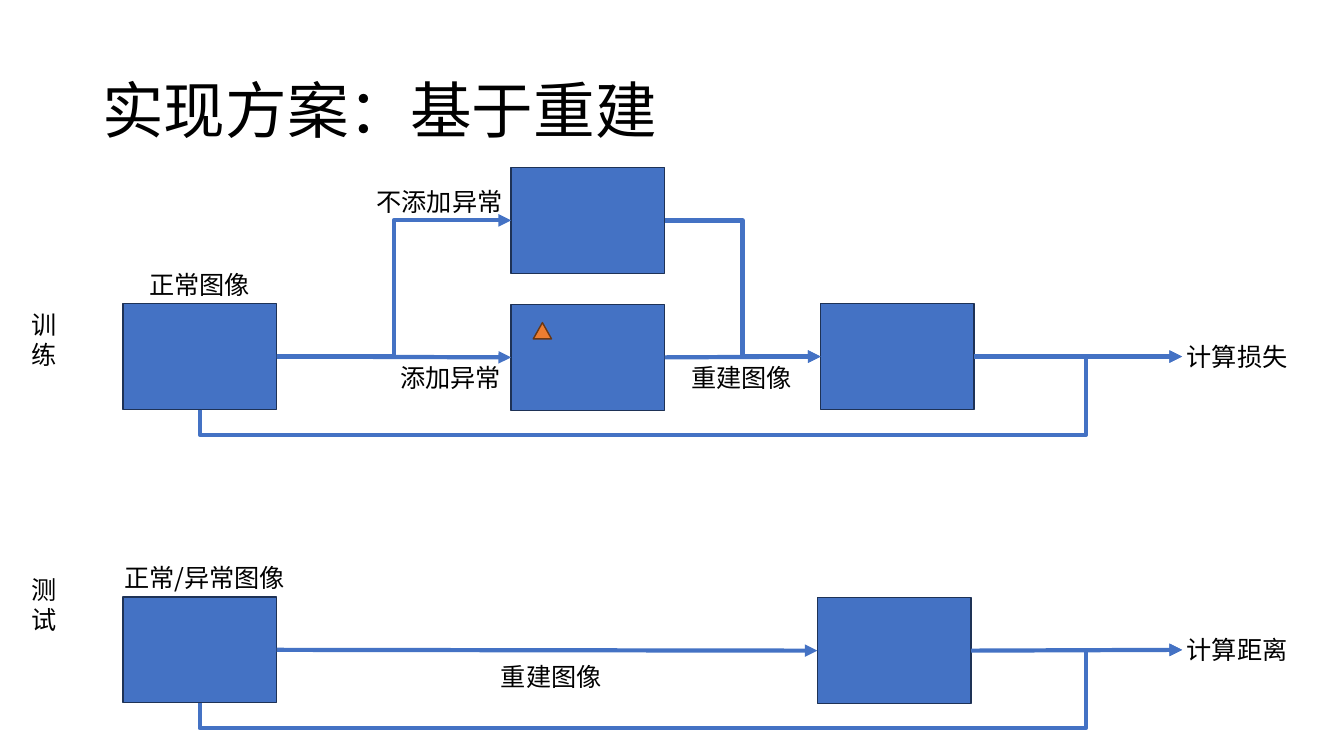
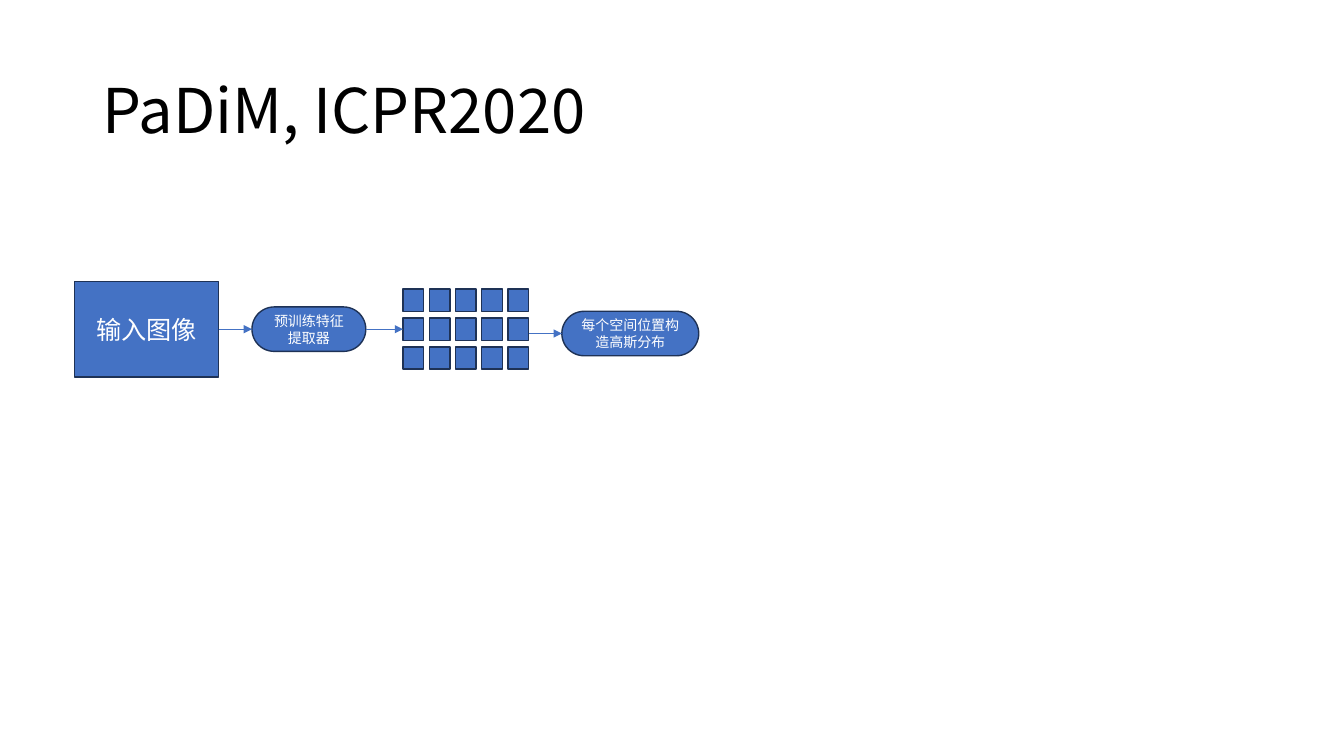
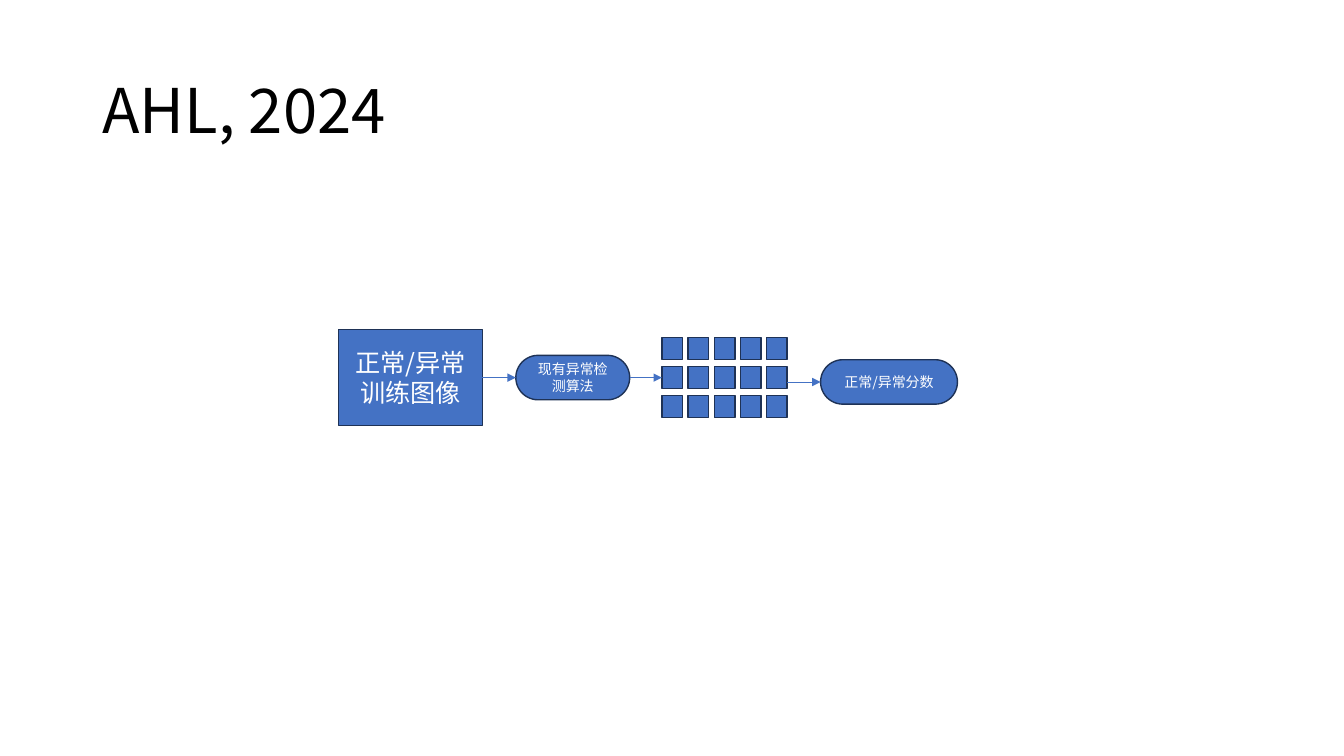
import lxml.etree
import pptx
import pptx.dml.color
import pptx.enum.shapes
import pptx.enum.text
import pptx.oxml.ns
import pptx.util

Cm = pptx.util.Cm
qn = pptx.oxml.ns.qn
SHAPE = pptx.enum.shapes.MSO_SHAPE
LINK = pptx.enum.shapes.MSO_CONNECTOR
ANCHOR = pptx.enum.text.MSO_ANCHOR
ALIGN = pptx.enum.text.PP_ALIGN

FONT = "Noto Sans CJK SC"
COLORS = {"blue": "4472C4", "blue_edge": "1E3256", "orange": "ED7D31",
          "orange_edge": "683715", "text": "000000", "light": "FFFFFF"}
TOP, LEFT, BOTTOM, RIGHT = range(4)
IMAGE_W, IMAGE_H = 3.87, 2.67
LABEL_H = 1.02


def rgb(name):
    """Return the named colour."""
    return pptx.dml.color.RGBColor.from_string(COLORS[name])


def write(frame, text, size, color, align, anchor):
    """Put one run of text in a frame."""
    frame.word_wrap = True
    frame.vertical_anchor = anchor
    paragraph = frame.paragraphs[0]
    paragraph.alignment = align
    run = paragraph.add_run()
    run.text = text
    run.font.size = pptx.util.Pt(size)
    run.font.name = FONT
    run.font.color.rgb = rgb(color)
    east_asian = lxml.etree.SubElement(run.font._element, qn("a:ea"))
    east_asian.set("typeface", FONT)
    return paragraph


def add_title(slide, text):
    """Write the slide title."""
    box = slide.shapes.add_textbox(Cm(2.33), Cm(1.01), Cm(29.21), Cm(3.68))
    paragraph = write(box.text_frame, text, 44, "text", ALIGN.LEFT, ANCHOR.MIDDLE)
    paragraph.line_spacing = 0.9


def add_label(slide, text, left, top, width=IMAGE_W, height=LABEL_H):
    """Write a centred label."""
    box = slide.shapes.add_textbox(Cm(left), Cm(top), Cm(width), Cm(height))
    write(box.text_frame, text, 18, "text", ALIGN.CENTER, ANCHOR.TOP)


def add_block(shapes, kind, left, top, width, height, color="blue", text="", size=18):
    """Draw an outlined shape, with text if given."""
    block = shapes.add_shape(kind, Cm(left), Cm(top), Cm(width), Cm(height))
    block.shadow.inherit = False
    block.fill.solid()
    block.fill.fore_color.rgb = rgb(color)
    block.line.color.rgb = rgb(color + "_edge")
    block.line.width = pptx.util.Pt(1)
    if kind == SHAPE.ROUNDED_RECTANGLE:
        block.adjustments[0] = 0.5
    if text:
        write(block.text_frame, text, size, "light", ALIGN.CENTER, ANCHOR.MIDDLE)
    return block


def add_image(slide, left, top):
    """Draw the block that stands for an image."""
    return add_block(slide.shapes, SHAPE.RECTANGLE, left, top, IMAGE_W, IMAGE_H)


def add_arrow(slide, start, end, weight, kind=LINK.STRAIGHT):
    """Draw an arrow between ends given as (shape, side) or as a point in cm."""
    arrow = slide.shapes.add_connector(kind, 0, 0, 0, 0)
    if isinstance(start[0], (int, float)):
        arrow.begin_x, arrow.begin_y = Cm(start[0]), Cm(start[1])
    else:
        arrow.begin_connect(*start)
    if isinstance(end[0], (int, float)):
        arrow.end_x, arrow.end_y = Cm(end[0]), Cm(end[1])
    else:
        arrow.end_connect(*end)
    arrow.line.color.rgb = rgb("blue")
    arrow.line.width = pptx.util.Pt(weight)
    properties = arrow._element.spPr
    head = lxml.etree.SubElement(properties.find(qn("a:ln")), qn("a:tailEnd"))
    head.set("type", "triangle")
    lxml.etree.SubElement(properties, qn("a:effectLst"))
    return arrow


def add_bypass(slide, source, end, drop, turn):
    """Draw an arrow that leaves the source below and rises at the turn to the end."""
    arrow = add_arrow(slide, (source, BOTTOM), end, 3, LINK.ELBOW)
    start_x, start_y = source.left + source.width // 2, source.top + source.height
    run, rise = Cm(end[0]) - start_x, start_y - Cm(end[1])
    arrow.left, arrow.top = start_x + (run - rise) // 2, start_y - (run + rise) // 2
    arrow.width, arrow.height = rise, run
    properties = arrow._element.spPr
    frame = properties.find(qn("a:xfrm"))
    frame.attrib.pop("flipV", None)
    frame.set("rot", str(270 * 60000))
    geometry = properties.find(qn("a:prstGeom"))
    geometry.set("prst", "bentConnector4")
    bends = (-Cm(drop) / rise, (Cm(turn) - start_x) / run)
    for number, bend in enumerate(bends, 1):
        guide = lxml.etree.SubElement(geometry.find(qn("a:avLst")), qn("a:gd"))
        guide.set("name", f"adj{number}")
        guide.set("fmla", f"val {round(bend * 100000)}")


def add_stage(slide, top, rebuilt_at, stage, stage_top, caption, caption_at, caption_w, result):
    """Draw the parts that training and testing share; return input and rebuilt image."""
    left, result_x = 3.1, 29.79
    middle = top + IMAGE_H / 2
    source = add_image(slide, left, top)
    rebuilt = add_image(slide, *rebuilt_at)
    add_label(slide, stage, 0.41, stage_top, 1.4, 1.8)
    add_label(slide, caption, caption_at, top - 1, caption_w)
    add_label(slide, result, 29.24, middle - LABEL_H / 2)
    add_bypass(slide, source, (result_x, middle), 0.64, 27.36)
    add_arrow(slide, (rebuilt, RIGHT), (result_x, middle), 3)
    return source, rebuilt


def add_training(slide, top):
    """Draw the training stage with its two branches."""
    source, rebuilt = add_stage(slide, top, (20.68, top), "训练", top + 0.02,
                                "正常图像", 3.1, IMAGE_W, "计算损失")
    branch_x = 12.88
    plain = add_image(slide, branch_x, top - 3.43)
    altered = add_image(slide, branch_x, top + 0.02)
    add_block(slide.shapes, SHAPE.ISOSCELES_TRIANGLE, branch_x + 0.56, top + 0.48,
              0.46, 0.41, "orange")
    for branch, kind in ((plain, LINK.ELBOW), (altered, LINK.STRAIGHT)):
        add_arrow(slide, (source, RIGHT), (branch, LEFT), 3, kind)
        add_arrow(slide, (branch, RIGHT), (rebuilt, LEFT), 3, kind)
    add_label(slide, "不添加异常", 8.84, top - 3.08, 4.47)
    add_label(slide, "添加异常", 9.42, top + 1.35)
    add_label(slide, "重建图像", 16.76, top + 1.35)


def add_testing(slide, top):
    """Draw the testing stage."""
    source, rebuilt = add_stage(slide, top, (20.6, top + 0.02), "测试", top - 0.69,
                                "正常/异常图像", 2.64, 5.03, "计算距离")
    add_arrow(slide, (source, RIGHT), (rebuilt, LEFT), 3)
    add_label(slide, "重建图像", 11.96, top + 1.5)


def add_feature_grid(slide, left, middle, columns=5, rows=3):
    """Draw the grouped feature cells; return the middle left cell and the right edge."""
    cell_w, cell_h, step_x, step_y = 0.52, 0.56, 0.66, 0.73
    top = middle - ((rows - 1) * step_y + cell_h) / 2
    grid = slide.shapes.add_group_shape()
    cells = [[add_block(grid.shapes, SHAPE.RECTANGLE, left + column * step_x,
                        top + row * step_y, cell_w, cell_h)
              for column in range(columns)] for row in range(rows)]
    return cells[rows // 2][0], left + (columns - 1) * step_x + cell_w


def add_pipeline(slide, left, top, grid_gap, source_text, extractor_text, output_text):
    """Draw input, extractor, feature grid and output from left to right."""
    source_w, source_h, pill_w, pill_h, output_w, gap = 3.63, 2.41, 2.87, 1.12, 3.45, 0.84
    middle = top + source_h / 2
    source = add_block(slide.shapes, SHAPE.RECTANGLE, left, top, source_w, source_h,
                       text=source_text)
    extractor_x = left + source_w + gap
    extractor = add_block(slide.shapes, SHAPE.ROUNDED_RECTANGLE, extractor_x,
                          middle - pill_h / 2, pill_w, pill_h, text=extractor_text, size=10)
    first_cell, grid_right = add_feature_grid(slide, extractor_x + pill_w + grid_gap, middle)
    output_middle = middle + 0.11
    output = add_block(slide.shapes, SHAPE.ROUNDED_RECTANGLE, grid_right + gap,
                       output_middle - pill_h / 2, output_w, pill_h,
                       text=output_text, size=10)
    add_arrow(slide, (source, RIGHT), (extractor, LEFT), 0.5, LINK.ELBOW)
    add_arrow(slide, (extractor, RIGHT), (first_cell, LEFT), 0.5)
    add_arrow(slide, (grid_right, output_middle), (output, LEFT), 0.5, LINK.ELBOW)


def main():
    """Build and save the three slides."""
    deck = pptx.Presentation()
    deck.slide_width, deck.slide_height = Cm(33.87), Cm(19.05)
    slides = []
    for title in ("实现方案：基于重建", "PaDiM, ICPR2020", "AHL, 2024"):
        slide = deck.slides.add_slide(deck.slide_layouts[6])
        add_title(slide, title)
        slides.append(slide)
    scheme, padim, ahl = slides
    add_training(scheme, 7.65)
    add_testing(scheme, 15.04)
    add_pipeline(padim, 1.88, 7.09, 0.94, "输入图像", "预训练特征提取器",
                 "每个空间位置构造高斯分布")
    add_pipeline(ahl, 8.53, 8.31, 0.81, "正常/异常训练图像", "现有异常检测算法",
                 "正常/异常分数")
    deck.save("out.pptx")


if __name__ == "__main__":
    main()
